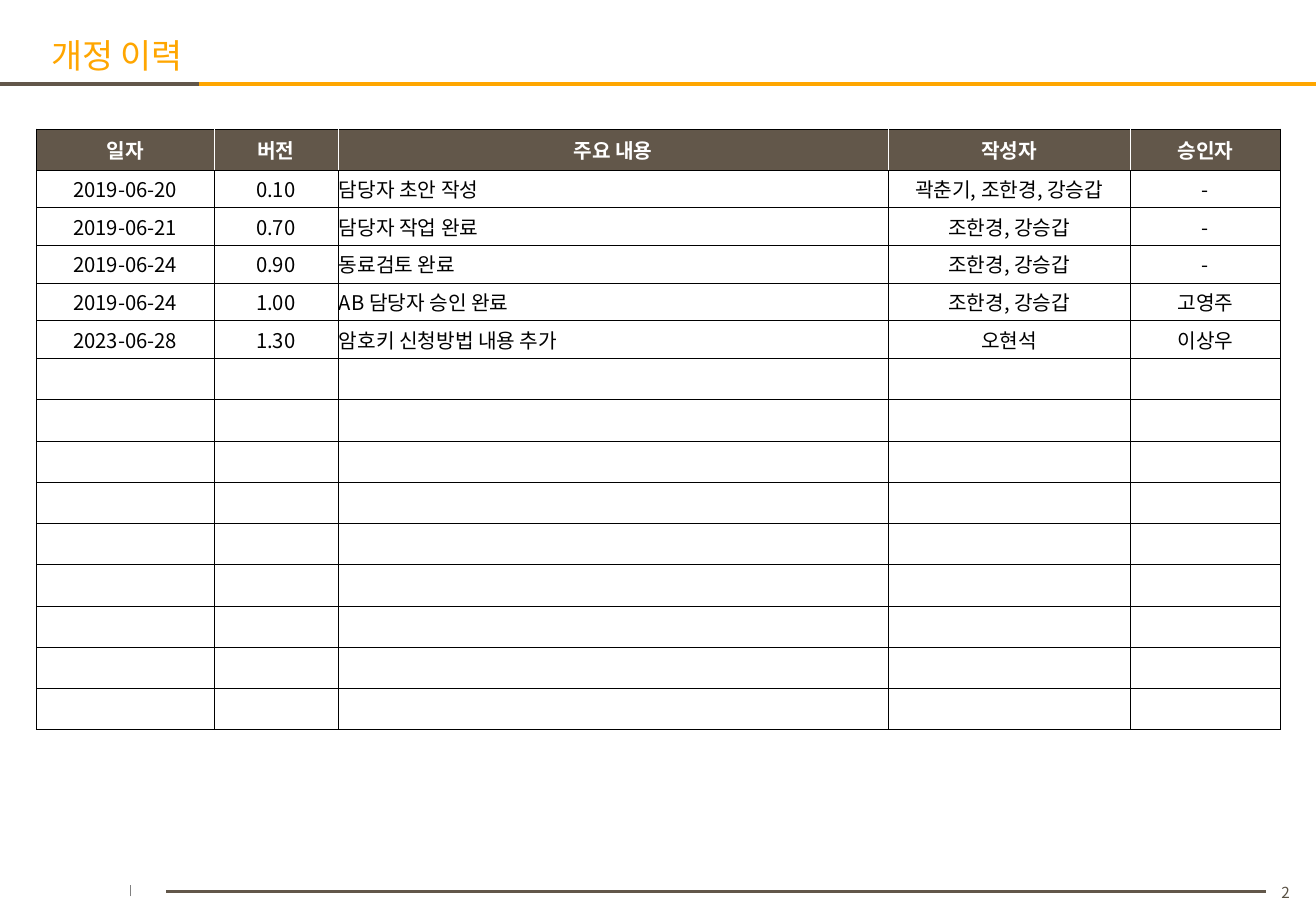
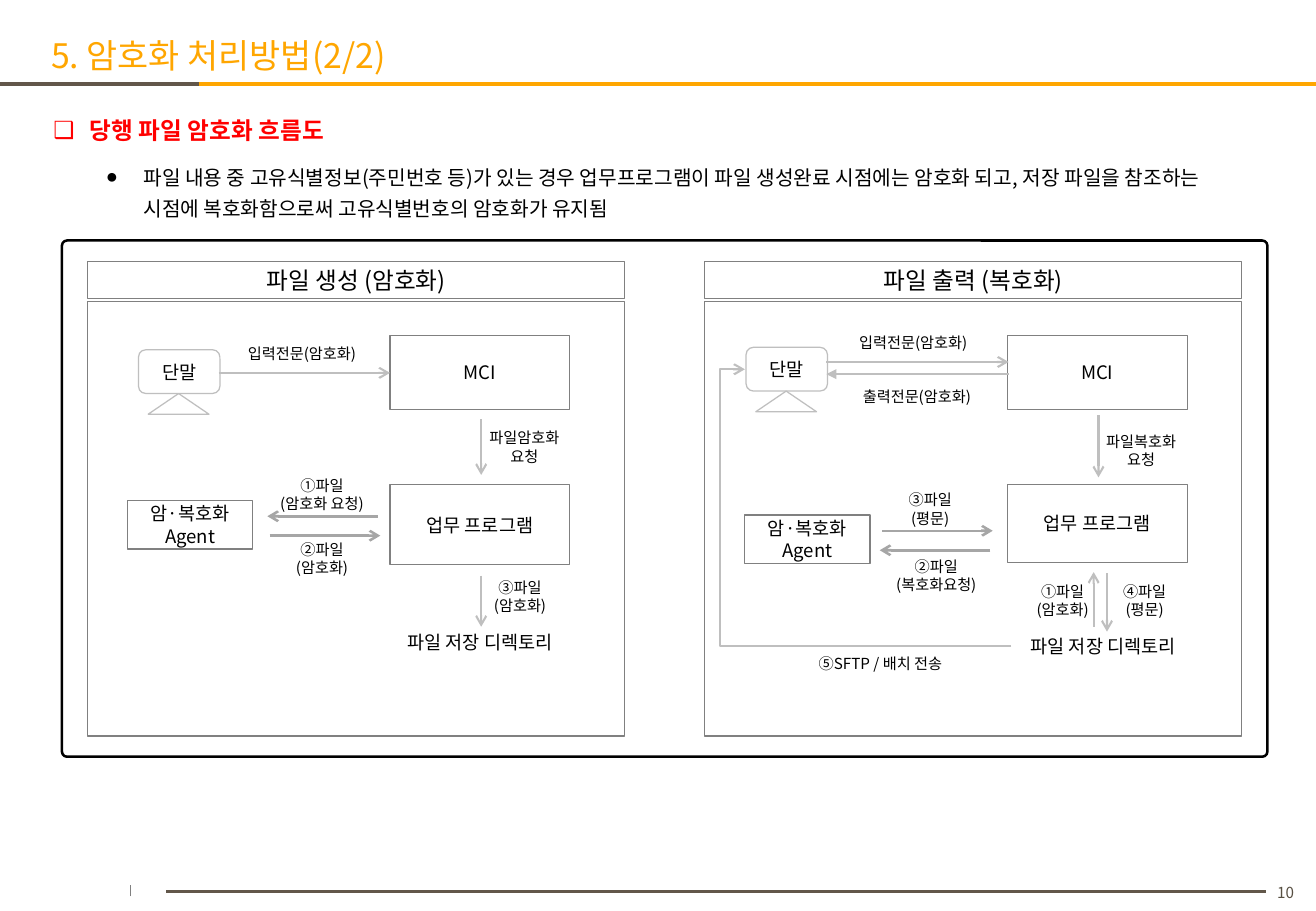
import pptx
import pptx.dml.color
import pptx.enum.shapes
import pptx.enum.text
import pptx.oxml.ns
import pptx.util
from lxml import etree

Inches = pptx.util.Inches
Pt = pptx.util.Pt
RGB = pptx.dml.color.RGBColor
qn = pptx.oxml.ns.qn
KIND = pptx.enum.shapes.MSO_SHAPE
LINK = pptx.enum.shapes.MSO_CONNECTOR
ALIGN = pptx.enum.text.PP_ALIGN
ANCHOR = pptx.enum.text.MSO_ANCHOR

FONT = "Noto Sans CJK KR"
ORANGE = RGB(0xFF, 0xA6, 0x00)
BROWN = RGB(0x62, 0x57, 0x4A)
DARK = RGB(0x58, 0x50, 0x43)
GRAY = RGB(0x80, 0x80, 0x80)
MID = RGB(0xA6, 0xA6, 0xA6)
LIGHT = RGB(0xBF, 0xBF, 0xBF)
RED = RGB(0xFF, 0x00, 0x00)
BLACK = RGB(0x00, 0x00, 0x00)
WHITE = RGB(0xFF, 0xFF, 0xFF)

FRAME = {"word_wrap": True, "auto_size": pptx.enum.text.MSO_AUTO_SIZE.NONE,
         "vertical_anchor": ANCHOR.MIDDLE, "margin_left": 0,
         "margin_right": 0, "margin_top": 0, "margin_bottom": 0}


def write(frame, text, size, ink=BLACK, bold=False, pitch=1.2,
          side=ALIGN.CENTER, par=None, **form):
    for key, val in {**FRAME, **form}.items():
        setattr(frame, key, val)
    par = par or frame.paragraphs[0]
    par.text = text
    look = {"alignment": side, "line_spacing": Pt(size * pitch)}
    for key, val in look.items():
        setattr(par, key, val)
    for run in par.runs:
        for key, val in {"size": Pt(size), "bold": bold, "name": FONT}.items():
            setattr(run.font, key, val)
        run.font.color.rgb = ink
        etree.SubElement(run.font._element, qn("a:ea"), typeface=FONT)


def link(shapes, ends, ink, width, tip=None, kind=LINK.STRAIGHT):
    line = shapes.add_connector(kind, *[Inches(v) for v in ends])
    line.line.color.rgb = ink
    line.line.width = Pt(width)
    props = line.element.spPr
    if tip:
        etree.SubElement(props.find(qn("a:ln")), qn("a:tailEnd"), type=tip)
    etree.SubElement(props, qn("a:effectLst"))
    return line


deck = pptx.Presentation()
deck.slide_width = Inches(10.83)
deck.slide_height = Inches(7.5)
first = deck.slides.add_slide(deck.slide_layouts[5])
second = deck.slides.add_slide(deck.slide_layouts[1])

# Rules shared by all slides, kept on the master
rules = [
    ((1.64, 0.69, 10.83, 0.69), ORANGE, 2.25),
    ((0, 0.69, 1.64, 0.69), BROWN, 2.25),
    ((1.37, 7.34, 10.42, 7.34), BROWN, 1.5),
    ((1.07, 7.38, 1.07, 7.29), GRAY, 0.5),
]
for ends, ink, width in rules:
    rule = link(first.shapes, ends, ink, width)
    deck.slide_master.shapes.element.append(rule.element)

# Titles and page numbers
heads = [(first, "개정 이력", "2"), (second, "5. 암호화 처리방법(2/2)", "10")]
for slide, text, page in heads:
    title = slide.shapes.title
    title.left, title.top = Inches(0.42), Inches(0.32)
    title.width, title.height = Inches(7.44), Inches(0.3)
    write(title.text_frame, text, 20, ORANGE, pitch=1.08, side=ALIGN.LEFT,
          vertical_anchor=ANCHOR.TOP)
    spot = slide.shapes.add_textbox(
        Inches(10.43), Inches(7.27), Inches(0.3), Inches(0.15))
    write(spot.text_frame, page, 9, DARK, vertical_anchor=ANCHOR.BOTTOM)

# Revision table
rows = [
    ("일자", "버전", "주요 내용", "작성자", "승인자"),
    ("2019-06-20", "0.10", "담당자 초안 작성", "곽춘기, 조한경, 강승갑", "-"),
    ("2019-06-21", "0.70", "담당자 작업 완료", "조한경, 강승갑", "-"),
    ("2019-06-24", "0.90", "동료검토 완료", "조한경, 강승갑", "-"),
    ("2019-06-24", "1.00", "AB 담당자 승인 완료", "조한경, 강승갑", "고영주"),
    ("2023-06-28", "1.30", "암호키 신청방법 내용 추가", "오현석", "이상우"),
]
filled = len(rows)
rows += [("",) * 5] * 9
widths = [1.46, 1.02, 4.53, 1.99, 1.24]
table = first.shapes.add_table(
    len(rows), len(widths), Inches(0.3), Inches(1.06),
    Inches(sum(widths)), Inches(4.95)).table
table.first_row = table.horz_banding = False
for col, width in zip(table.columns, widths):
    col.width = Inches(width)
for r, row in enumerate(rows):
    table.rows[r].height = Inches(0.31 if 0 < r < filled else 0.34)
    for c, text in enumerate(row):
        cell = table.cell(r, c)
        top = r == 0
        props = cell._tc.get_or_add_tcPr()
        for edge in "LRTB":
            inner = (edge == "L" and c > 0) or (edge == "R" and c < 4)
            ink = WHITE if top and inner else BLACK
            line = etree.SubElement(props, qn("a:ln" + edge), w="3175")
            fill = etree.SubElement(line, qn("a:solidFill"))
            etree.SubElement(fill, qn("a:srgbClr"), val=str(ink))
        cell.fill.solid()
        cell.fill.fore_color.rgb = BROWN if top else WHITE
        cell.vertical_anchor = ANCHOR.MIDDLE
        cell.margin_left = cell.margin_right = Inches(0.01)
        cell.margin_top = cell.margin_bottom = 0
        par = cell.text_frame.paragraphs[0]
        par.font.size = Pt(12)
        if text:
            write(cell.text_frame, text, 12, WHITE if top else BLACK, top,
                  1.45, ALIGN.LEFT if c == 2 and not top else ALIGN.CENTER,
                  par, margin_left=Inches(0.01))

# Bulleted text
body = second.placeholders[1]
body.left, body.top = Inches(0.34), Inches(0.83)
body.width, body.height = Inches(10), Inches(1.04)
points = [
    ("❑", 0.3, 0.3, "당행 파일 암호화 흐름도", 14, RED, True, 1.6),
    ("●", 0.74, 0.31, "파일 내용 중 고유식별정보(주민번호 등)가 있는 경우 업무프로그램이 "
     "파일 생성완료 시점에는 암호화 되고, 저장 파일을 참조하는 시점에 "
     "복호화함으로써 고유식별번호의 암호화가 유지됨", 12, BLACK, False, 1.53),
]
frame = body.text_frame
for n, (mark, left, hang, text, size, ink, bold, pitch) in enumerate(points):
    par = frame.add_paragraph() if n else frame.paragraphs[0]
    props = par._p.get_or_add_pPr()
    props.set("marL", str(Inches(left)))
    props.set("indent", str(-Inches(hang)))
    etree.SubElement(props, qn("a:buChar"), char=mark)
    par.space_before = Pt(8 * n)
    write(frame, text, size, ink, bold, pitch, ALIGN.LEFT, par,
          vertical_anchor=ANCHOR.TOP, margin_left=Inches(0.1),
          margin_right=Inches(0.1), margin_top=Inches(0.05))

# Boxes: kind, left, top, width, height, line, line width, text, size
boxes = [(KIND.ROUNDED_RECTANGLE, 0.51, 1.98, 9.92, 4.25, BLACK, 1.5, "", 0)]
panels = [
    (0.72, "파일 생성 (암호화)", 1.14, 2.88, 0.66, 4.12),
    (5.8, "파일 출력 (복호화)", 6.14, 2.86, 0.64, 4.24),
]
for x, name, side, desk, tall, agent in panels:
    boxes += [
        (KIND.RECTANGLE, x, 2.15, 4.42, 0.31, GRAY, 0.5, name, 14),
        (KIND.RECTANGLE, x, 2.48, 4.42, 3.58, GRAY, 0.75, "", 0),
        (KIND.RECTANGLE, x + 2.49, 2.76, 1.48, 0.61, GRAY, 0.75, "MCI", 11),
        (KIND.RECTANGLE, x + 2.49, 3.99, 1.48, tall, GRAY, 0.75,
         "업무 프로그램", 11),
        (KIND.RECTANGLE, x + 0.33, agent, 1.03, 0.4, GRAY, 0.75,
         "암·복호화\nAgent", 11),
        (KIND.ROUNDED_RECTANGLE, side, desk, 0.67, 0.36, LIGHT, 0.75,
         "단말", 11),
        (KIND.ISOSCELES_TRIANGLE, side + 0.08, desk + 0.36, 0.5, 0.17,
         LIGHT, 0.75, "", 0),
    ]
for kind, x, y, w, h, ink, width, text, size in boxes:
    box = second.shapes.add_shape(
        kind, Inches(x), Inches(y), Inches(w), Inches(h))
    box.shadow.inherit = False
    box.fill.background()
    box.line.color.rgb = ink
    box.line.width = Pt(width)
    if kind == KIND.ROUNDED_RECTANGLE and not text:
        box.adjustments[0] = 0.01
    if text:
        write(box.text_frame, text, size)

# Arrows
arrows = [
    ((1.8, 3.07, 3.21, 3.07), LIGHT, 1.25, "arrow"),
    ((3.96, 3.45, 3.96, 3.91), LIGHT, 1.25, "arrow"),
    ((3.96, 4.74, 3.96, 5.16), LIGHT, 1.25, "arrow"),
    ((3.11, 4.25, 2.2, 4.25), MID, 1.5, "arrow"),
    ((2.22, 4.41, 3.13, 4.41), MID, 1.5, "arrow"),
    ((6.8, 2.98, 8.3, 2.98), LIGHT, 1.25, "arrow"),
    ((8.3, 3.08, 6.8, 3.08), LIGHT, 1.25, "triangle"),
    ((9.04, 3.42, 9.04, 3.93), LIGHT, 1.25, "arrow"),
    ((7.26, 4.37, 8.17, 4.37), MID, 1.5, "arrow"),
    ((8.15, 4.53, 7.24, 4.53), MID, 1.5, "arrow"),
    ((9, 5.16, 9, 4.71), LIGHT, 1.25, "arrow"),
    ((9.11, 4.72, 9.11, 5.2), LIGHT, 1.25, "arrow"),
]
for arrow in arrows:
    link(second.shapes, *arrow)

# Elbow back to the terminal, turned half round and bent past its end
elbow = link(second.shapes, (6.13, 3.04, 8.32, 5.32), LIGHT, 1.25, "arrow",
             LINK.ELBOW)
props = elbow.element.spPr
props.find(qn("a:xfrm")).set("rot", "10800000")
shape = props.find(qn("a:prstGeom"))
bends = shape.find(qn("a:avLst"))
if bends is None:
    bends = etree.SubElement(shape, qn("a:avLst"))
etree.SubElement(bends, qn("a:gd"), name="adj1", fmla="val 109400")

# Labels: left, middle, width, text, size
labels = [
    (2.03, 2.91, 0.91, "입력전문(암호화)", 9),
    (3.97, 3.68, 0.69, "파일암호화\n요청", 9),
    (2.2, 4.07, 0.9, "①파일\n(암호화 요청)", 9),
    (2.3, 4.6, 0.7, "②파일\n(암호화)", 9),
    (3.93, 4.91, 0.7, "③파일\n(암호화)", 9),
    (3.2, 5.29, 1.5, "파일 저장 디렉토리", 11),
    (6.77, 2.82, 1.49, "입력전문(암호화)", 9),
    (6.8, 3.26, 1.49, "출력전문(암호화)", 9),
    (8.99, 3.71, 0.8, "파일복호화\n요청", 9),
    (7.16, 4.19, 0.99, "③파일\n(평문)", 9),
    (7.19, 4.74, 1.03, "②파일\n(복호화요청)", 9),
    (8.33, 4.94, 0.83, "①파일\n(암호화)", 9),
    (9.12, 4.94, 0.6, "④파일\n(평문)", 9),
    (8.33, 5.32, 1.5, "파일 저장 디렉토리", 11),
    (6.6, 5.46, 1.29, "⑤SFTP / 배치 전송", 9),
]
for x, mid, w, text, size in labels:
    label = second.shapes.add_textbox(
        Inches(x), Inches(mid - 0.16), Inches(w), Inches(0.32))
    write(label.text_frame, text, size)

deck.save("out.pptx")
